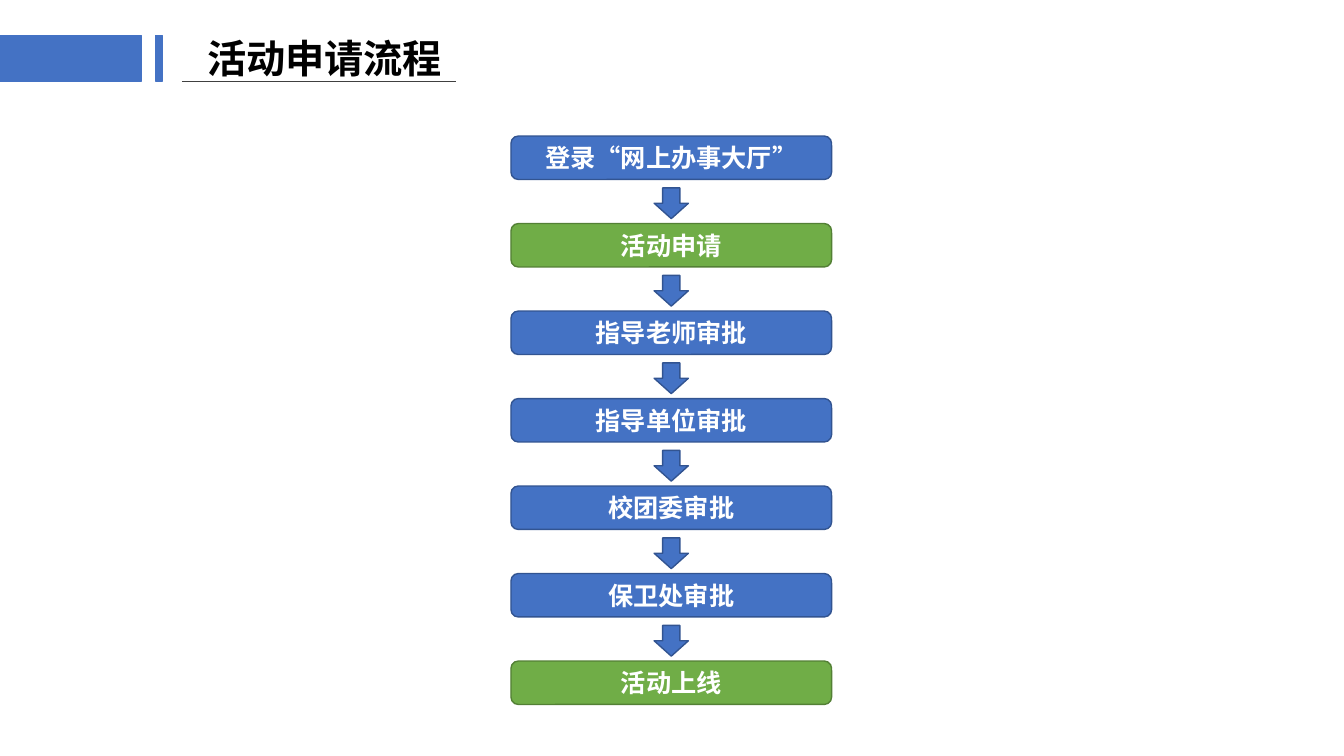
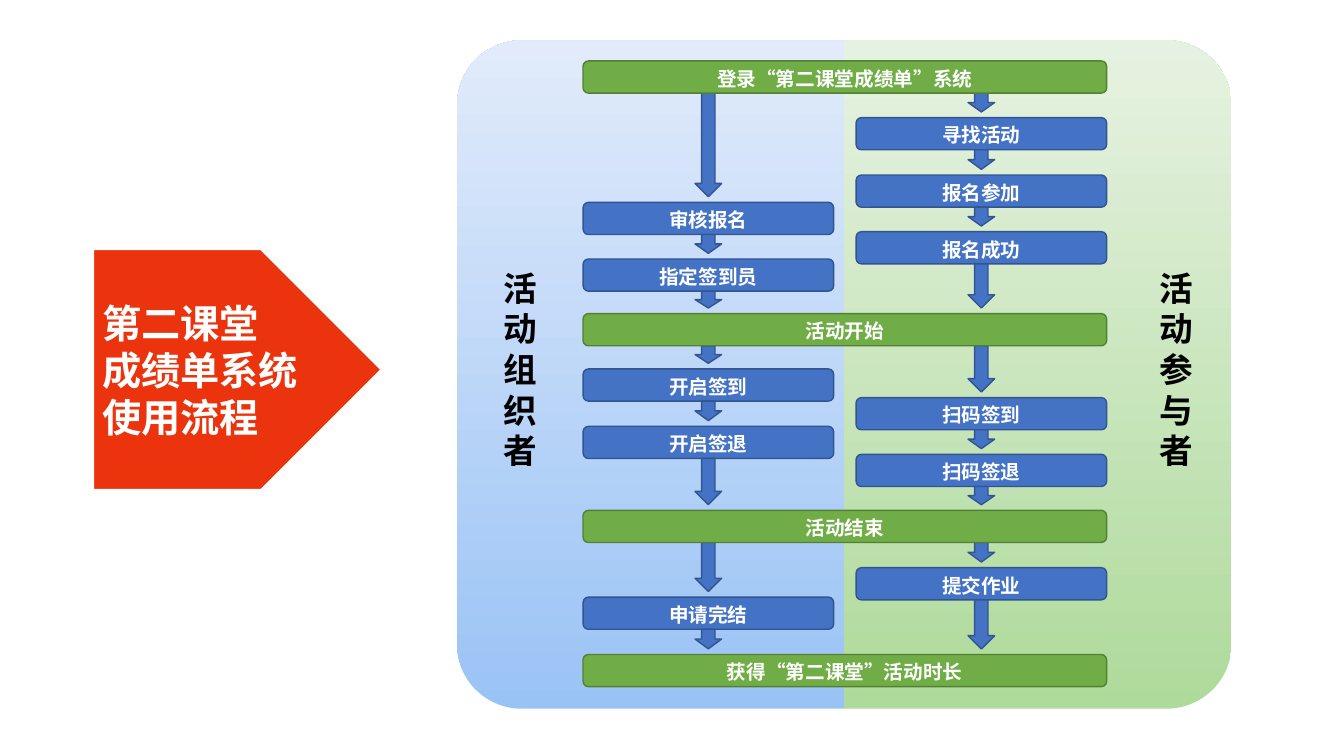
from lxml import etree
from pptx import Presentation
from pptx.dml.color import RGBColor
from pptx.enum import shapes, text
from pptx.oxml.ns import qn
from pptx.util import Pt

FONT = "Noto Sans CJK SC"
BLUE, BLUE_EDGE = "4472C4", "325491"
GREEN, GREEN_EDGE = "70AD47", "538035"
RED, WHITE, BLACK, RULE = "EB340D", "FFFFFF", "000000", "404040"
SHAPE = shapes.MSO_SHAPE
ALIGN = text.PP_ALIGN


def rgb(value):
    return RGBColor.from_string(value)


def write(tf, lines, size=18, color=WHITE, align=ALIGN.CENTER,
          wrap=True, insets=(0, 0, 0, 0), spacing=None):
    """Fill a text frame with bold lines, centred vertically."""
    tf.word_wrap = wrap
    tf.vertical_anchor = text.MSO_ANCHOR.MIDDLE
    tf.margin_left, tf.margin_top, tf.margin_right, tf.margin_bottom = map(Pt, insets)
    for i, line in enumerate(lines.split("\n")):
        p = tf.add_paragraph() if i else tf.paragraphs[0]
        p.alignment = align
        if spacing:
            p.line_spacing = Pt(spacing)
        r = p.add_run()
        r.text = line
        r.font.size, r.font.bold, r.font.name = Pt(size), True, FONT
        r.font.color.rgb = rgb(color)
        etree.SubElement(r._r.get_or_add_rPr(), qn("a:ea"), typeface=FONT)


class Deck:
    def __init__(self):
        self.prs = Presentation()
        self.prs.slide_width, self.prs.slide_height = Pt(960), Pt(540)
        self.s = None

    def new_slide(self):
        self.s = self.prs.slides.add_slide(self.prs.slide_layouts[6])

    def shape(self, kind, x, y, w, h, fill=BLUE, edge=BLUE_EDGE, weight=1):
        sp = self.s.shapes.add_shape(kind, Pt(x), Pt(y), Pt(w), Pt(h))
        sp.shadow.inherit = False
        sp.fill.solid()
        sp.fill.fore_color.rgb = rgb(fill)
        sp.line.color.rgb = rgb(edge)
        sp.line.width = Pt(weight)
        return sp

    def step(self, label, x, y, w, h, milestone=False, **fmt):
        fill, edge = (GREEN, GREEN_EDGE) if milestone else (BLUE, BLUE_EDGE)
        sp = self.shape(SHAPE.ROUNDED_RECTANGLE, x, y, w, h, fill, edge)
        write(sp.text_frame, label, **fmt)

    def down_arrow(self, center, y, w, h):
        self.shape(SHAPE.DOWN_ARROW, center - w / 2, y, w, h)

    def label(self, lines, x, y, w, h, **fmt):
        sp = self.s.shapes.add_textbox(Pt(x), Pt(y), Pt(w), Pt(h))
        write(sp.text_frame, lines, **fmt)

    def panel(self, x, y, w, h, rotation, angle, dark, light):
        """Gradient panel, rounded on one side by turning the shape."""
        sp = self.shape(SHAPE.ROUND_2_SAME_RECTANGLE,
                        x + (w - h) / 2, y + (h - w) / 2, h, w)
        sp.rotation = rotation
        sp.line.fill.background()
        sp.fill.gradient()
        sp.fill.gradient_angle = angle
        for stop, color in zip(sp.fill.gradient_stops, (dark, light)):
            stop.color.rgb = rgb(color)

    def title(self, words):
        for x, w in ((0, 101), (111, 5)):
            self.shape(SHAPE.RECTANGLE, x, 25.4, w, 32.4, BLUE, BLUE)
        self.label(words, 141, 21, 185, 41, size=28, color=BLACK,
                   align=ALIGN.LEFT, wrap=False, insets=(7.2, 0, 7.2, 0))
        line = self.s.shapes.add_connector(
            shapes.MSO_CONNECTOR.STRAIGHT, Pt(130), Pt(58), Pt(325.5), Pt(58))
        line.line.color.rgb = rgb(RULE)
        line.line.width = Pt(0.5)
        etree.SubElement(line._element.spPr, qn("a:effectLst"))


def application_slide(deck):
    deck.new_slide()
    deck.title("活动申请流程")
    steps = ["登录“网上办事大厅”", "活动申请", "指导老师审批", "指导单位审批",
             "校团委审批", "保卫处审批", "活动上线"]
    milestones = {"活动申请", "活动上线"}
    x, top, w, h, pitch = 365, 97.2, 229, 31, 62.5
    for i, name in enumerate(steps):
        y = top + i * pitch
        deck.step(name, x, y, w, h, name in milestones)
        if i < len(steps) - 1:
            deck.down_arrow(x + w / 2, y + h + 6, 24.5, 22)


def system_slide(deck):
    deck.new_slide()
    deck.panel(603, 28.8, 276.5, 477.4, 90, 180, "AEDA9B", "E6F2E1")
    deck.panel(326.5, 28.8, 276.5, 477.4, 270, 0, "9AC3F5", "E1EBFB")
    for role, x in (("活动组织者", 348.5), ("活动参与者", 816.5)):
        deck.label("\n".join(role), x, 187.2, 47, 152.6,
                   size=24, color=BLACK, spacing=29)

    stages = {43.5: "登录“第二课堂成绩单”系统", 224: "活动开始",
              364.5: "活动结束", 467.5: "获得“第二课堂”活动时长"}
    organizer = {144.5: "审核报名", 185: "指定签到员", 263.5: "开启签到",
                 304.5: "开启签退", 426.5: "申请完结"}
    participant = {84: "寻找活动", 125: "报名参加", 165.5: "报名成功",
                   284: "扫码签到", 324.5: "扫码签退", 405.5: "提交作业"}
    left, right, w, h, gap = 416.5, 611.5, 179, 23, 4
    fmt = dict(size=14, insets=(0, 2, 0, 0))

    for x, steps in ((left, organizer), (right, participant)):
        for y, name in steps.items():
            deck.step(name, x, y, w, h, **fmt)
        stops = sorted([*stages, *steps])
        for y, below in zip(stops, stops[1:]):
            deck.down_arrow(x + w / 2, y + h, 19, below - gap - y - h)
    for y, name in stages.items():
        deck.step(name, left, y, right + w - left, h, True, **fmt)

    plate = deck.shape(SHAPE.PENTAGON, 66.5, 178, 206, 172, RED, WHITE, 1.5)
    write(plate.text_frame, "第二课堂\n成绩单系统\n使用流程", size=28,
          align=ALIGN.LEFT, insets=(6.5, 0, 1.5, 0), spacing=33.6)


def main():
    deck = Deck()
    application_slide(deck)
    system_slide(deck)
    deck.prs.save("out.pptx")


if __name__ == "__main__":
    main()
